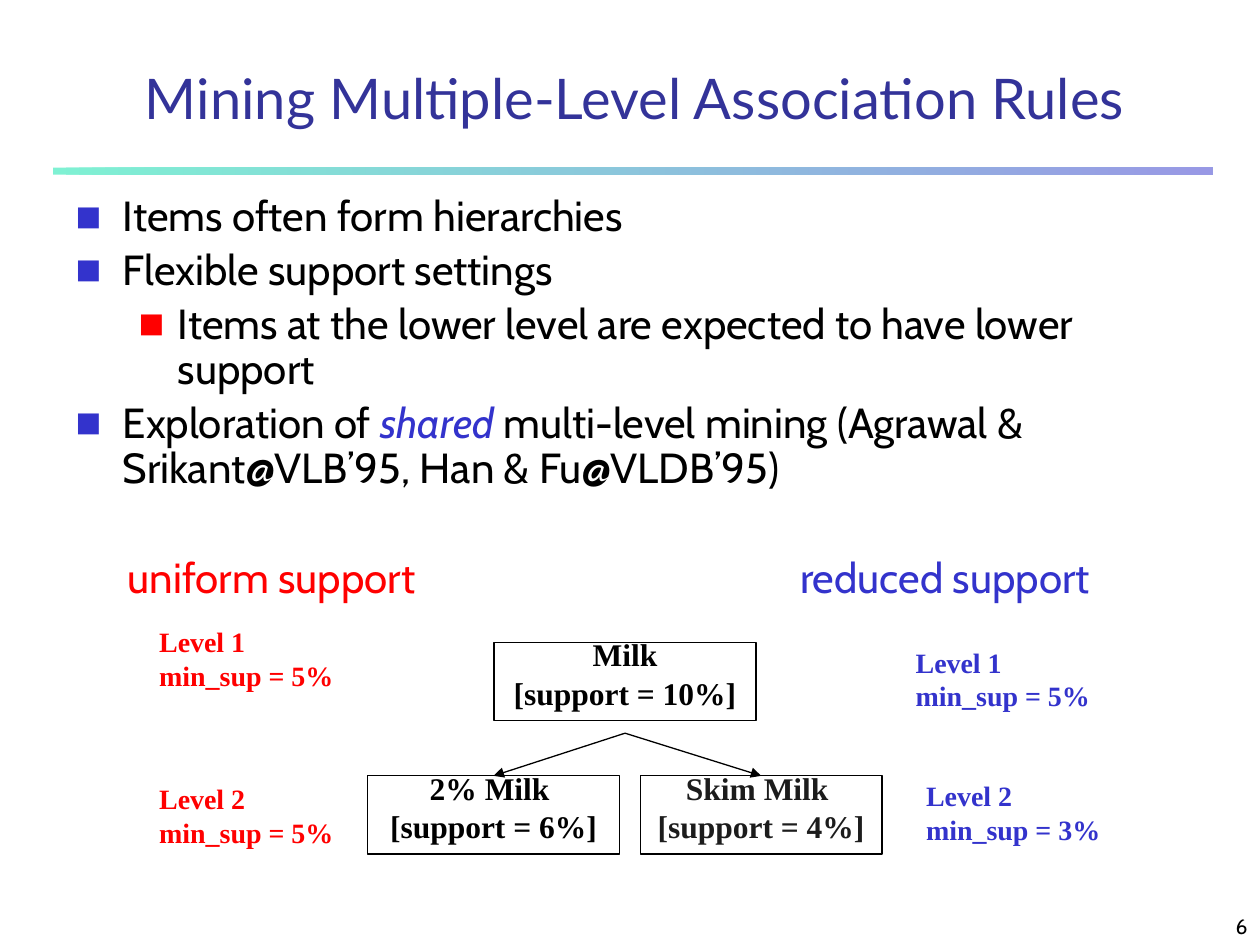
from dataclasses import dataclass

from lxml.etree import SubElement
from pptx import Presentation
from pptx.dml.color import RGBColor
from pptx.enum.shapes import MSO_CONNECTOR, MSO_SHAPE
from pptx.enum.text import MSO_ANCHOR, MSO_AUTO_SIZE, PP_ALIGN
from pptx.oxml.ns import qn
from pptx.util import Cm, Pt


@dataclass(frozen=True)
class Theme:
    title: str = "333399"
    black: str = "000000"
    soft: str = "1C1C1C"
    white: str = "FFFFFF"
    red: str = "FF0000"
    blue: str = "3333CC"
    mint: str = "00E4A8"
    head: int = 32
    body: int = 24
    node: int = 18
    level: int = 16
    page: int = 12
    sans: str = "Cabin"
    serif: str = "Times New Roman"
    display: str = "Lato"


theme = Theme()


def write(para, text, size=theme.body, color=theme.black, face=theme.sans,
          bold=False, italic=False):
    """Add one formatted run to a paragraph."""
    run = para.add_run()
    run.text = text
    font = run.font
    font.name, font.size = face, Pt(size)
    font.bold, font.italic = bold, italic
    font.color.rgb = RGBColor.from_string(color)


def fill_lines(frame, lines, align=PP_ALIGN.LEFT, lead=None, gap=0, **style):
    """Write one paragraph per line, with gap points between them."""
    frame.word_wrap = True
    for i, line in enumerate(lines):
        para = frame.add_paragraph() if i else frame.paragraphs[0]
        para.alignment = align
        if lead:
            para.line_spacing = lead
        para.space_before = Pt(gap if i else 0)
        write(para, line, **style)


deck = Presentation()
deck.slide_width, deck.slide_height = Cm(25.4), Cm(19.05)
slide = deck.slides.add_slide(deck.slide_layouts[1])
shapes = slide.shapes

# Rule under the title
rule = shapes.add_shape(MSO_SHAPE.RECTANGLE, Cm(1.07), Cm(3.38), Cm(23.37), Cm(0.14))
rule.shadow.inherit = False
rule.line.fill.background()
rule.fill.gradient()
rule.fill.gradient_angle = 0
for stop, place, color in zip(rule.fill.gradient_stops, (0, 1), (theme.mint, theme.blue)):
    stop.position = place
    stop.color.rgb = RGBColor.from_string(color)
for tone in rule.element.spPr.iter(qn("a:srgbClr")):
    SubElement(tone, qn("a:alpha"), val="50000")

# Title
title = shapes.title
title.left, title.top, title.width, title.height = Cm(1.9), Cm(1.07), Cm(21.8), Cm(1.7)
title.text_frame.auto_size = MSO_AUTO_SIZE.NONE
title.text_frame.vertical_anchor = MSO_ANCHOR.BOTTOM
fill_lines(title.text_frame, ["Mining Multiple-Level Association Rules"],
           align=PP_ALIGN.CENTER, size=theme.head, color=theme.title, face=theme.display)

# Bulleted list: level, then runs as (text, format)
points = [
    (0, [("Items often form hierarchies", {})]),
    (0, [("Flexible support settings", {})]),
    (1, [("Items at the lower level are expected to have lower support", {})]),
    (0, [("Exploration of ", {}),
         ("shared", {"color": theme.blue, "italic": True}),
         (" multi-level mining (Agrawal & Srikant@VLB’95, Han & Fu@VLDB’95)", {})]),
]
marks = [(Cm(0.95), Cm(-0.95), theme.blue), (Cm(2.06), Cm(-0.79), theme.red)]
body = slide.placeholders[1]
body.left, body.top, body.width, body.height = Cm(1.27), Cm(3.81), Cm(23.28), Cm(6.56)
frame = body.text_frame
frame.auto_size = MSO_AUTO_SIZE.NONE
for i, (level, runs) in enumerate(points):
    para = frame.add_paragraph() if i else frame.paragraphs[0]
    para.level = level
    para.line_spacing = 0.9
    para.space_before = Pt(4.8 if i else 0)
    margin, indent, color = marks[level]
    props = para._p.get_or_add_pPr()
    props.set("marL", str(margin))
    props.set("indent", str(indent))
    SubElement(SubElement(props, qn("a:buClr")), qn("a:srgbClr"), val=color)
    SubElement(props, qn("a:buSzPct"), val="65000")
    SubElement(props, qn("a:buFont"), typeface=theme.sans)
    SubElement(props, qn("a:buChar"), char="■")
    for text, style in runs:
        write(para, text, **style)

# Support headings and level labels
heads = [
    (2.33, 6.78, "uniform support", theme.red),
    (15.88, 6.6, "reduced support", theme.blue),
]
for x, w, text, color in heads:
    box = shapes.add_textbox(Cm(x), Cm(11), Cm(w), Cm(1.27))
    fill_lines(box.text_frame, [text], color=color)

levels = [
    (2.96, 12.47, 1, 5, theme.red),
    (2.96, 15.64, 2, 5, theme.red),
    (18.21, 12.88, 1, 5, theme.blue),
    (18.42, 15.57, 2, 3, theme.blue),
]
for x, y, level, share, color in levels:
    box = shapes.add_textbox(Cm(x), Cm(y), Cm(4.04), Cm(1.61))
    fill_lines(box.text_frame, [f"Level {level}", f"min_sup = {share}%"],
               size=theme.level, color=color, face=theme.serif, bold=True)

# Milk hierarchy
nodes = [
    (9.96, 12.95, 5.28, "Milk", 10, theme.black),
    (7.41, 15.64, 5.08, "2% Milk ", 6, theme.black),
    (12.91, 15.64, 4.87, "Skim Milk ", 4, theme.soft),
]
boxes = []
for x, y, w, name, share, color in nodes:
    box = shapes.add_shape(MSO_SHAPE.RECTANGLE, Cm(x), Cm(y), Cm(w), Cm(1.58))
    box.shadow.inherit = False
    box.fill.solid()
    box.fill.fore_color.rgb = RGBColor.from_string(theme.white)
    box.line.color.rgb = RGBColor.from_string(theme.black)
    box.line.width = Pt(0.75)
    box.text_frame.vertical_anchor = MSO_ANCHOR.TOP
    fill_lines(box.text_frame, [name, f"[support = {share}%]"], align=PP_ALIGN.CENTER,
               lead=0.6, gap=9, size=theme.node, color=color, face=theme.serif, bold=True)
    boxes.append(box)

for child in boxes[1:]:
    arrow = shapes.add_connector(MSO_CONNECTOR.STRAIGHT, Cm(12.6), Cm(14.78),
                                 child.left, child.top)
    arrow.end_connect(child, 0)
    arrow.line.color.rgb = RGBColor.from_string(theme.black)
    arrow.line.width = Pt(0.75)
    props = arrow.element.spPr
    SubElement(props.find(qn("a:ln")), qn("a:tailEnd"), type="triangle")
    SubElement(props, qn("a:effectLst"))

# Slide number
page = shapes.add_textbox(Cm(20.12), Cm(17.98), Cm(5.28), Cm(1.07))
page.text_frame.vertical_anchor = MSO_ANCHOR.BOTTOM
fill_lines(page.text_frame, ["6"], align=PP_ALIGN.RIGHT, size=theme.page)

deck.save("out.pptx")
